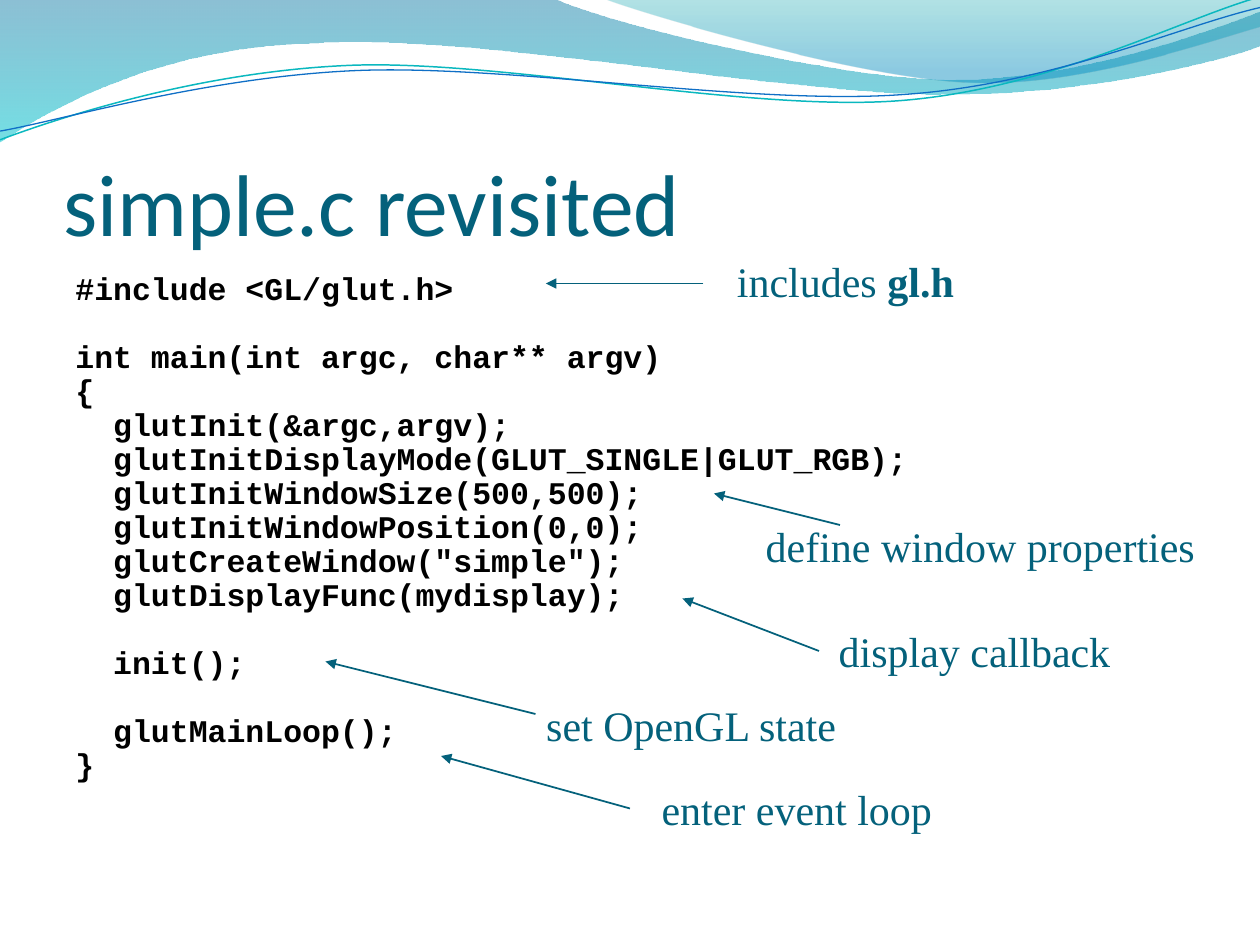
from dataclasses import dataclass

from lxml.etree import SubElement
from pptx import Presentation
from pptx.dml.color import RGBColor
from pptx.enum.shapes import MSO_CONNECTOR
from pptx.enum.text import MSO_ANCHOR, MSO_AUTO_SIZE, PP_ALIGN
from pptx.oxml import parse_xml
from pptx.oxml.ns import nsdecls, qn
from pptx.util import Pt


@dataclass(frozen=True)
class Theme:
    accent: str = "04617B"
    code: str = "000000"
    teal_line: str = "0AB8BF"
    blue_line: str = "0F6FC6"
    # Gradient stops: position in percent, colour, opacity in percent
    left_wave: tuple = ((0, "0074A1", 45), (100, "00C6CF", 55))
    right_wave: tuple = ((0, "00A1A9", 30), (80, "008BBF", 45))
    title_font: str = "Calibri"
    code_font: str = "Courier New"
    note_font: str = "Times New Roman"
    title_size: int = 50
    code_size: int = 18
    note_size: int = 24


THEME = Theme()

# Outlines in points: one point is a straight line, three points are a curve
LEFT_WAVE = [
    [(316.8, -0.7)],
    [(342.7, 12.2), (478.1, 45.4), (545.8, 45.4)],
    [(614.2, 45.4), (689.8, 18.7), (720, 6.5)],
    [(720.7, 25.9)],
    [(707.8, 31.7), (626.4, 54.7), (537.1, 54)],
    [(447.8, 54), (275, 20.2), (185, 24.5)],
    [(92.9, 25.9), (33.1, 59.8), (-0.7, 81.4)],
]
RIGHT_WAVE = [
    [(366.5, 7.9), (491, 44.6), (553.7, 46.8)],
    [(616.3, 49.7), (691.9, 23), (720, 15.1)],
    [(720, 0)],
]
TEAL_CURVE = [
    [(34.6, 67), (113.8, 41), (199.4, 37.4)],
    [(284.4, 33.8), (427, 64.1), (513.4, 57.6)],
    [(599.8, 51.1), (675.4, 10.8), (718.6, -1.4)],
]
BLUE_CURVE = [
    [(33.8, 69.1), (118.1, 43.9), (203.8, 40.3)],
    [(290.2, 36.7), (429.8, 60.5), (516.2, 54)],
    [(601.9, 48.2), (673.2, 15.1), (720, 4.3)],
]

# Code blocks are set apart by one line; each line is (indent level, text)
CODE_BLOCKS = [
    [(0, "#include <GL/glut.h>")],
    [
        (0, "int main(int argc, char** argv)"),
        (0, "{"),
        (1, "glutInit(&argc,argv);"),
        (1, "glutInitDisplayMode(GLUT_SINGLE|GLUT_RGB);"),
        (1, "glutInitWindowSize(500,500);"),
        (1, "glutInitWindowPosition(0,0);"),
        (1, 'glutCreateWindow("simple");'),
        (1, "glutDisplayFunc(mydisplay);"),
    ],
    [(1, "init();")],
    [(1, "glutMainLoop();"), (0, "}")],
]
CODE_INDENT = 21.6
BLOCK_GAP = 19.4

# Notes: (plain text, bold text), (left, top, width), arrow start, arrow end
NOTES = [
    (("includes ", "gl.h"), (414, 142.5, 138.3), (402, 162), (312, 162)),
    (("define window properties", ""), (430.5, 294, 260), (480, 300), (408, 282)),
    (("set OpenGL state", ""), (305, 396, 181), (306, 408), (186, 378)),
    (("enter event loop", ""), (371, 444, 169), (360, 462), (252, 432)),
    (("display callback", ""), (472.2, 354, 169.5), (468, 372), (390, 342)),
]


def format_run(run, font, size, color, bold=False):
    run.font.name = font
    run.font.size = Pt(size)
    run.font.bold = bold
    run.font.color.rgb = RGBColor.from_string(color)


def add_outline(slide, start, segments, close):
    """Draw all points as lines, then join each group of three into a curve."""
    points = [(Pt(x), Pt(y)) for segment in segments for x, y in segment]
    builder = slide.shapes.build_freeform(Pt(start[0]), Pt(start[1]))
    builder.add_line_segments(points, close=close)
    shape = builder.convert_to_shape()
    shape.shadow.inherit = False
    lines = iter(list(shape.element.iter(qn("a:lnTo"))))
    for segment in segments:
        parts = [next(lines) for _ in segment]
        if len(parts) == 3:
            parts[0].tag = qn("a:cubicBezTo")
            for part in parts[1:]:
                parts[0].append(part[0])
                part.getparent().remove(part)
    return shape


def add_wave(slide, start, segments, stops):
    shape = add_outline(slide, start, segments, True)
    shape.line.fill.background()
    stop_xml = "".join(
        f'<a:gs pos="{position * 1000}"><a:srgbClr val="{color}">'
        f'<a:alpha val="{opacity * 1000}"/></a:srgbClr></a:gs>'
        for position, color, opacity in stops)
    gradient = parse_xml(
        f'<a:gradFill {nsdecls("a")}><a:gsLst>{stop_xml}</a:gsLst>'
        '<a:lin ang="5400000" scaled="0"/></a:gradFill>')
    shape.element.spPr.find(qn("a:custGeom")).addnext(gradient)


def add_curve(slide, start, segments, color, width):
    shape = add_outline(slide, start, segments, False)
    shape.fill.background()
    shape.line.color.rgb = RGBColor.from_string(color)
    shape.line.width = Pt(width)


def set_title(slide, text):
    title = slide.shapes.title
    title.left, title.top, title.width, title.height = Pt(36), Pt(55.2), Pt(648), Pt(90)
    frame = title.text_frame
    frame.text = text
    frame.auto_size = MSO_AUTO_SIZE.NONE
    frame.vertical_anchor = MSO_ANCHOR.BOTTOM
    frame.margin_left = frame.margin_right = frame.margin_bottom = 0
    paragraph = frame.paragraphs[0]
    paragraph.alignment = PP_ALIGN.LEFT
    format_run(paragraph.runs[0], THEME.title_font, THEME.title_size, THEME.accent)


def add_code(slide, blocks):
    frame = slide.shapes.add_textbox(Pt(36), Pt(152.5), Pt(648), Pt(345.5)).text_frame
    frame.word_wrap = True
    lines = [(level, text, block > 0 and row == 0)
             for block, rows in enumerate(blocks)
             for row, (level, text) in enumerate(rows)]
    for number, (level, text, opens_block) in enumerate(lines):
        paragraph = frame.add_paragraph() if number else frame.paragraphs[0]
        paragraph.text = text
        paragraph.line_spacing = 0.9
        paragraph.space_before = Pt(BLOCK_GAP * opens_block)
        paragraph._p.get_or_add_pPr().set("marL", str(Pt(level * CODE_INDENT)))
        format_run(paragraph.runs[0], THEME.code_font, THEME.code_size, THEME.code, True)


def add_arrow(slide, start, end):
    arrow = slide.shapes.add_connector(
        MSO_CONNECTOR.STRAIGHT, *(Pt(length) for length in (*start, *end)))
    arrow.line.color.rgb = RGBColor.from_string(THEME.accent)
    arrow.line.width = Pt(1)
    SubElement(arrow.line._get_or_add_ln(), qn("a:tailEnd"), type="triangle")
    SubElement(arrow._element.spPr, qn("a:effectLst"))


def add_note(slide, texts, left, top, width):
    box = slide.shapes.add_textbox(Pt(left), Pt(top), Pt(width), Pt(36))
    box.text_frame.word_wrap = False
    box.text_frame.auto_size = MSO_AUTO_SIZE.SHAPE_TO_FIT_TEXT
    paragraph = box.text_frame.paragraphs[0]
    for text, bold in zip(texts, (False, True)):
        if text:
            run = paragraph.add_run()
            run.text = text
            format_run(run, THEME.note_font, THEME.note_size, THEME.accent, bold)


def main():
    presentation = Presentation()
    presentation.slide_width, presentation.slide_height = Pt(720), Pt(540)
    slide = presentation.slides.add_slide(presentation.slide_layouts[5])

    # Wave banner
    add_wave(slide, (0, 0), LEFT_WAVE, THEME.left_wave)
    add_wave(slide, (344.9, -0.7), RIGHT_WAVE, THEME.right_wave)
    add_curve(slide, (0, 79.9), TEAL_CURVE, THEME.teal_line, 0.85)
    add_curve(slide, (0, 74.9), BLUE_CURVE, THEME.blue_line, 0.75)

    # Title and code
    set_title(slide, "simple.c revisited")
    add_code(slide, CODE_BLOCKS)

    # Notes with arrows to the code
    for texts, place, start, end in NOTES:
        add_arrow(slide, start, end)
        add_note(slide, texts, *place)

    presentation.save("out.pptx")


if __name__ == "__main__":
    main()
